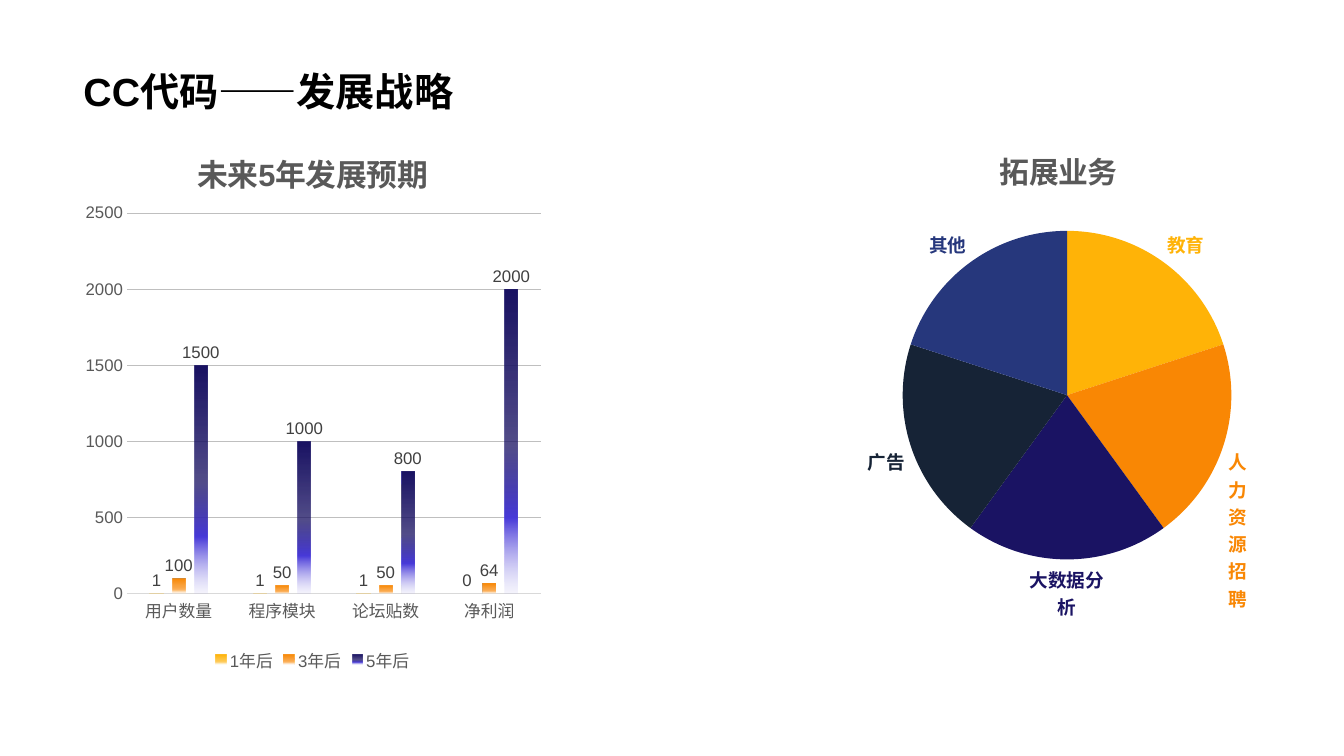
from lxml import etree
from pptx import Presentation
from pptx.chart.data import CategoryChartData as ChartData
from pptx.dml.color import RGBColor as RGB
from pptx.enum.chart import XL_CHART_TYPE as KIND
from pptx.enum.chart import XL_LABEL_POSITION as SPOT
from pptx.enum.chart import XL_LEGEND_POSITION as SIDE
from pptx.enum.chart import XL_TICK_MARK as TICK
from pptx.oxml import parse_xml
from pptx.oxml.ns import nsdecls, qn
from pptx.util import Inches, Pt

GREY = "595959"
GROWTH = {
    "1年后": ((1, 1, 1, 0), ("FFB307", "FFD16A", "FFF0CD")),
    "3年后": ((100, 50, 50, 64), ("F98704", "FDB767", "FEE7CC")),
    "5年后": ((1500, 1000, 800, 2000), ("1A1363", "483AD9", "C2BDF2")),
}
TRADES = {
    "教育": "FFB307",
    "人力资源招聘": "F98704",
    "大数据分析": "1A1363",
    "广告": "162336",
    "其他": "26377C",
}


def style(font, color, **values):
    font.color.rgb = RGB.from_string(color)
    for name, value in values.items():
        setattr(font, name, value)


def fade(fill, tints):
    """Replace a fill with a downward gradient that thins out at the foot."""
    head, middle, foot = tints
    stops = ((0, head, 100), (51, head, 75), (75, middle, 100), (100, foot, 15))
    marks = "".join(
        f'<a:gs pos="{pos * 1000}"><a:srgbClr val="{tint}">'
        f'<a:alpha val="{alpha * 1000}"/></a:srgbClr></a:gs>'
        for pos, tint, alpha in stops
    )
    fill.solid()
    return parse_xml(
        f'<a:gradFill {nsdecls("a")}><a:gsLst>{marks}</a:gsLst>'
        '<a:lin ang="5400000" scaled="0"/></a:gradFill>'
    )


def place(chart, **parts):
    """Fix the inner plot area, in fractions of the chart."""
    area = chart.plots[0]._element.getparent()
    for old in area.findall(qn("c:layout")):
        area.remove(old)
    layout = etree.Element(qn("c:layout"))
    manual = etree.SubElement(layout, qn("c:manualLayout"))
    values = {"layoutTarget": "inner", "xMode": "edge", "yMode": "edge", **parts}
    for name, value in values.items():
        etree.SubElement(manual, qn(f"c:{name}")).set("val", str(value))
    area.insert(0, layout)


def add_chart(slide, kind, box, title, size, names, rows):
    data = ChartData()
    data.categories = names
    for name, values in rows.items():
        data.add_series(name, values)
    chart = slide.shapes.add_chart(kind, *map(Inches, box), data).chart
    style(chart.font, GREY, size=Pt(12), name="Arial")
    chart.has_title = True
    frame = chart.chart_title.text_frame
    frame.text = title
    style(frame.paragraphs[0].runs[0].font, GREY, size=Pt(size), bold=True, name="Arial")
    chart.has_legend = False
    return chart


def format_axes(chart):
    for axis in (chart.category_axis, chart.value_axis):
        axis.major_tick_mark = axis.minor_tick_mark = TICK.NONE
        style(axis.tick_labels.font, GREY, size=Pt(12))
    scale = chart.value_axis
    for name, value in {"minimum_scale": 0, "maximum_scale": 2500, "major_unit": 500}.items():
        setattr(scale, name, value)
    scale.format.line.fill.background()
    grid = scale.major_gridlines.format.line
    base = chart.category_axis.format.line
    for line, color in ((grid, "BFBFBF"), (base, "D9D9D9")):
        line.color.rgb = RGB.from_string(color)
        line.width = Pt(0.75)


def add_bars(slide):
    names = ("用户数量", "程序模块", "论坛贴数", "净利润")
    rows = {name: values for name, (values, _) in GROWTH.items()}
    chart = add_chart(slide, KIND.COLUMN_CLUSTERED, (0.74, 1.24, 4.72, 5.47),
                      "未来5年发展预期", 22, names, rows)
    place(chart, x=0.11, y=0.16, w=0.87, h=0.69)
    format_axes(chart)
    plot = chart.plots[0]
    for name, value in {"gap_width": 355, "overlap": -70, "vary_by_categories": False}.items():
        setattr(plot, name, value)
    for series, (_, tints) in zip(plot.series, GROWTH.values()):
        blend = fade(series.format.fill, tints)
        solid = series._element.find(qn("c:spPr")).find(qn("a:solidFill"))
        solid.getparent().replace(solid, blend)
        series.invert_if_negative = False
        labels = series.data_labels
        labels.show_value = True
        labels.position = SPOT.OUTSIDE_END
        style(labels.font, "404040", size=Pt(12))
    chart.has_legend = True
    chart.legend.position = SIDE.BOTTOM
    chart.legend.include_in_layout = False
    style(chart.legend.font, GREY, size=Pt(12))


def add_pie(slide):
    chart = add_chart(slide, KIND.PIE, (8.41, 1.24, 4.18, 5.47),
                      "拓展业务", 21.3, TRADES, {"Series 1": [20] * len(TRADES)})
    place(chart, x=0.13, y=0.19, w=0.78, h=0.6)
    plot = chart.plots[0]
    plot.vary_by_categories = True
    series = plot.series[0]
    labels = series.data_labels
    labels.show_value = False
    labels.show_category_name = True
    labels.position = SPOT.OUTSIDE_END
    for index, color in enumerate(TRADES.values()):
        point = series.points[index]
        point.format.fill.solid()
        point.format.fill.fore_color.rgb = RGB.from_string(color)
        style(point.data_label.font, color, size=Pt(13.3), bold=True)
        point.data_label.position = SPOT.OUTSIDE_END
    for label in series._element.iter(qn("c:dLbl")):
        for name, value in {"showVal": "0", "showCatName": "1", "showPercent": "0"}.items():
            label.find(qn(f"c:{name}")).set("val", value)


def add_title(slide, text):
    box = slide.shapes.add_textbox(*map(Inches, (0.73, 0.67, 11.87, 1.12)))
    frame = box.text_frame
    frame.word_wrap = True
    line = frame.paragraphs[0]
    line.line_spacing = 0.9
    run = line.add_run()
    run.text = text
    style(run.font, "000000", size=Pt(28), bold=True, name="Arial")


def main():
    deck = Presentation()
    deck.slide_width, deck.slide_height = Inches(13.33), Inches(7.5)
    slide = deck.slides.add_slide(deck.slide_layouts[6])
    add_bars(slide)
    add_pie(slide)
    add_title(slide, "CC代码——发展战略")
    deck.save("out.pptx")


if __name__ == "__main__":
    main()
